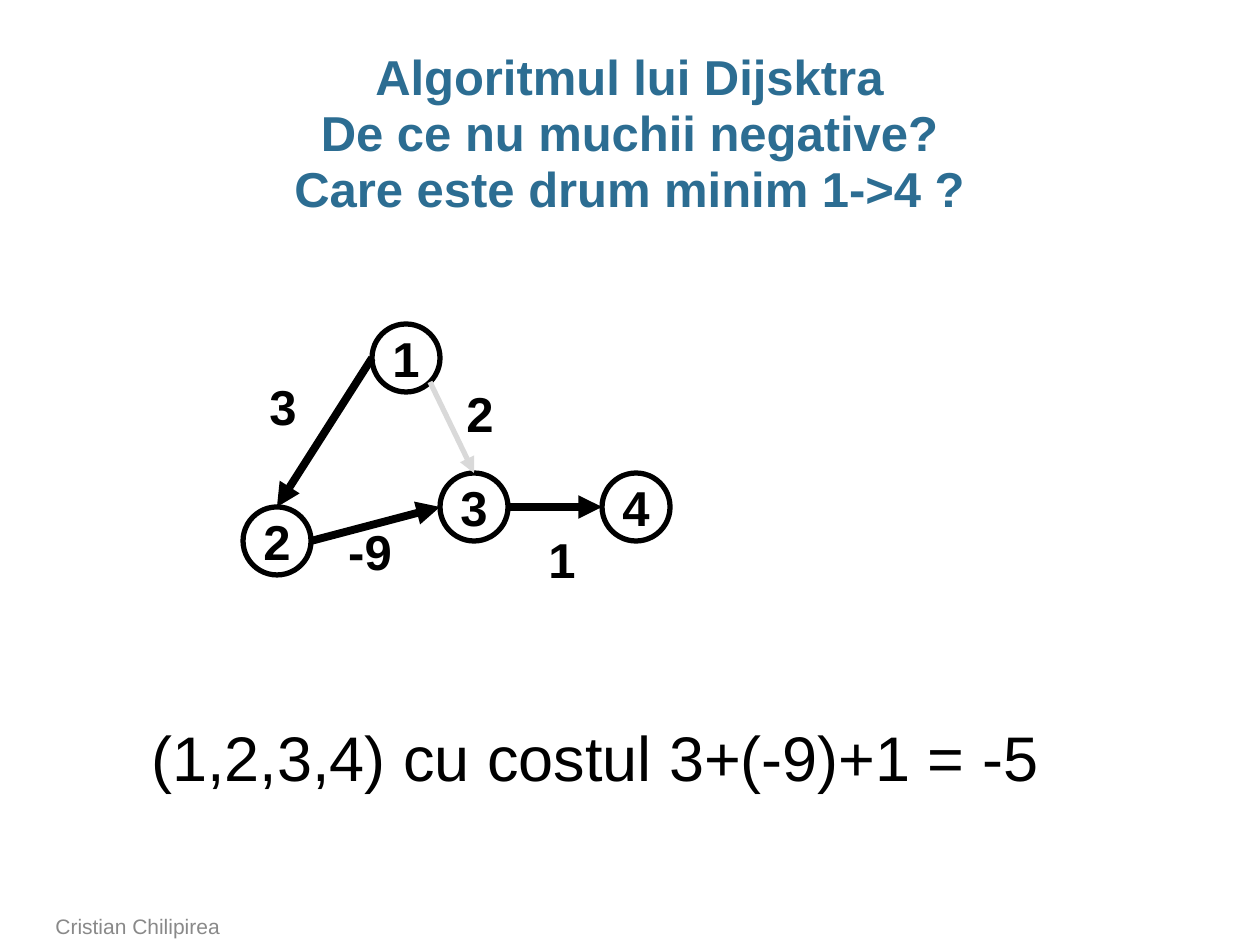
from dataclasses import dataclass

from lxml.etree import SubElement
from pptx import Presentation
from pptx.dml.color import RGBColor
from pptx.enum.shapes import MSO_CONNECTOR, MSO_SHAPE
from pptx.enum.text import MSO_ANCHOR, MSO_AUTO_SIZE, PP_ALIGN
from pptx.oxml.ns import qn
from pptx.util import Emu, Pt

DPI = 126
SIZE = 68  # node diameter
HALF = SIZE // 2
BLACK, WHITE, BLUE, GREY, PALE = "000000", "FFFFFF", "2C6D92", "898989", "D9D9D9"


@dataclass
class Node:
    name: str
    x: int
    y: int

    def site(self, side: str) -> tuple[int, int]:
        diag = round(HALF * (1 + 0.5 ** 0.5))
        dx, dy = {"top": (HALF, 0), "left": (0, HALF),
                  "right": (SIZE, HALF), "corner": (diag, diag)}[side]
        return self.x + dx, self.y + dy


@dataclass
class Edge:
    start: str
    side: str
    end: str
    goal: str
    cost: str
    x: int  # cost label
    y: int
    color: str = BLACK
    width: float = 4.5


NODES = {n.name: n for n in (
    Node("1", 372, 324), Node("2", 243, 507),
    Node("3", 440, 473), Node("4", 602, 473))}
EDGES = [
    Edge("1", "left", "2", "top", "3", 239, 370),
    Edge("2", "right", "3", "left", "-9", 326, 515),
    Edge("1", "corner", "3", "top", "2", 436, 377, PALE, 3),
    Edge("3", "right", "4", "left", "1", 518, 523),
]


def px(n: int) -> Emu:
    return Emu(round(n * 914400 / DPI))


def rgb(code: str) -> RGBColor:
    return RGBColor.from_string(code)


def write(frame, lines: list[str], size: int, color: str = BLACK,
          bold: bool = False, align=PP_ALIGN.LEFT):
    para = frame.paragraphs[0]
    para.alignment = align
    for i, line in enumerate(lines):
        if i:
            para.add_line_break()
        run = para.add_run()
        run.text = line
        font = run.font
        font.name, font.size, font.bold = "Arial", Pt(size), bold
        font.color.rgb = rgb(color)
    return para


def add_box(slide, x: int, y: int, w: int, h: int, wrap: bool = True):
    frame = slide.shapes.add_textbox(px(x), px(y), px(w), px(h)).text_frame
    frame.word_wrap = wrap
    return frame


def draw_node(slide, node: Node) -> None:
    shape = slide.shapes.add_shape(
        MSO_SHAPE.OVAL, px(node.x), px(node.y), px(SIZE), px(SIZE))
    shape.shadow.inherit = False
    shape.fill.solid()
    shape.fill.fore_color.rgb = rgb(WHITE)
    shape.line.color.rgb = rgb(BLACK)
    shape.line.width = Pt(3)
    frame = shape.text_frame
    frame.word_wrap = False
    frame.vertical_anchor = MSO_ANCHOR.MIDDLE
    write(frame, [node.name], 28, bold=True, align=PP_ALIGN.CENTER)


def draw_edge(slide, edge: Edge) -> None:
    ends = NODES[edge.start].site(edge.side) + NODES[edge.end].site(edge.goal)
    link = slide.shapes.add_connector(
        MSO_CONNECTOR.STRAIGHT, *(px(n) for n in ends))
    link.line.color.rgb = rgb(edge.color)
    link.line.width = Pt(edge.width)
    SubElement(link.line._get_or_add_ln(), qn("a:tailEnd"), type="triangle")
    SubElement(link._element.spPr, qn("a:effectLst"))


def draw_cost(slide, edge: Edge) -> None:
    frame = add_box(slide, edge.x, edge.y, 88, 72)
    frame.auto_size = MSO_AUTO_SIZE.SHAPE_TO_FIT_TEXT
    write(frame, [edge.cost], 28, bold=True, align=PP_ALIGN.CENTER)


def main() -> None:
    deck = Presentation()
    deck.slide_width, deck.slide_height = px(1260), px(945)
    slide = deck.slides.add_slide(deck.slide_layouts[6])

    # Footer
    foot = add_box(slide, 43, 910, 929, 35)
    foot.vertical_anchor = MSO_ANCHOR.BOTTOM
    write(foot, ["Cristian Chilipirea"], 12, GREY)

    # Title
    title = add_box(slide, 43, 45, 1173, 63)
    title.margin_left = title.margin_right = 0
    para = write(title, ["Algoritmul lui Dijsktra", "De ce nu muchii negative?",
                         "Care este drum minim 1->4 ?"],
                 28, BLUE, True, PP_ALIGN.CENTER)
    para.line_spacing = 0.95

    # Graph
    for node in NODES.values():
        draw_node(slide, node)
    for edge in EDGES:
        draw_edge(slide, edge)
        draw_cost(slide, edge)

    # Answer
    answer = add_box(slide, 139, 712, 921, 89, wrap=False)
    answer.auto_size = MSO_AUTO_SIZE.SHAPE_TO_FIT_TEXT
    write(answer, ["(1,2,3,4) cu costul 3+(-9)+1 = -5"], 36)

    deck.save("out.pptx")


if __name__ == "__main__":
    main()
